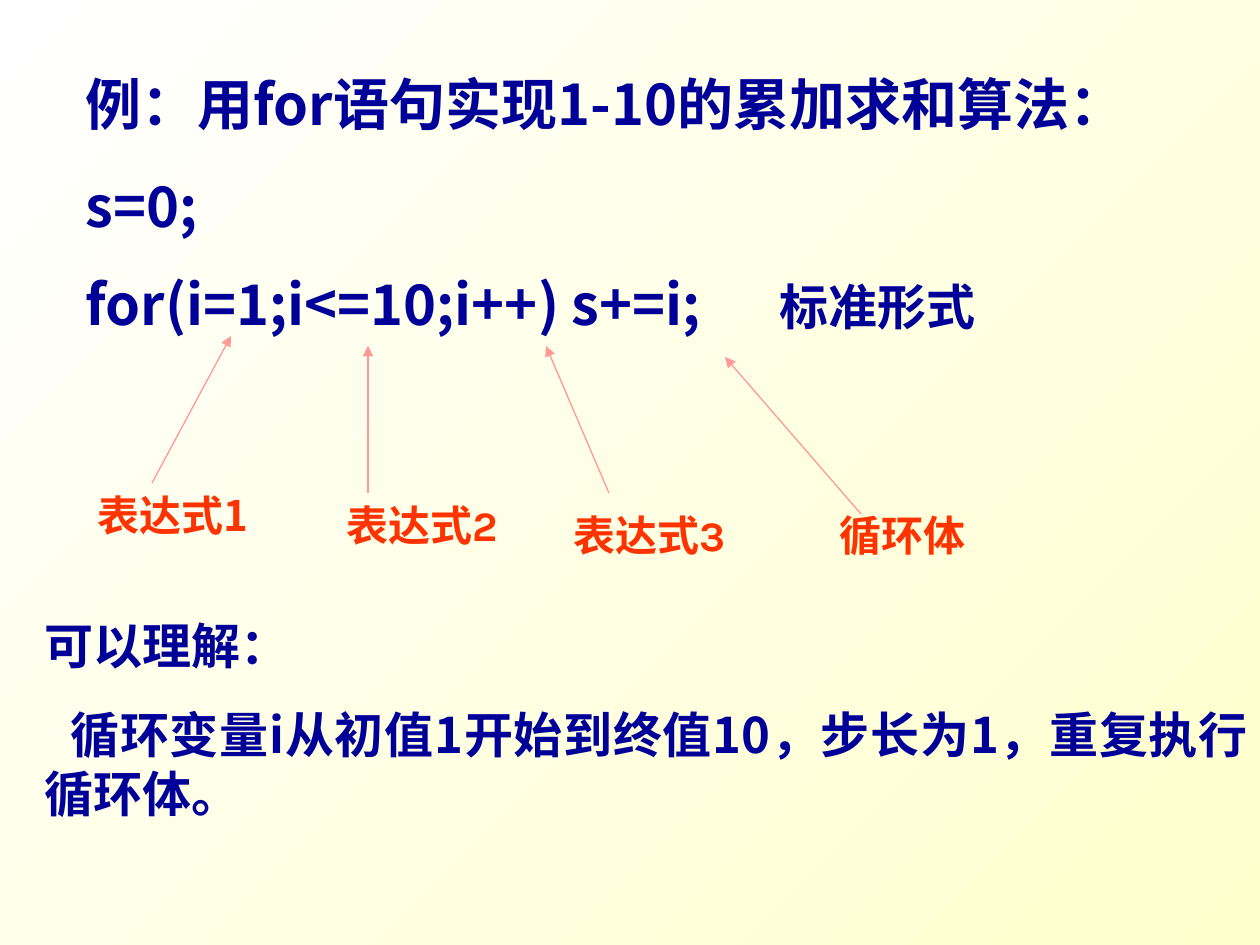
from typing import NamedTuple

from lxml.etree import SubElement
from pptx import Presentation
from pptx.dml.color import RGBColor
from pptx.enum.shapes import MSO_CONNECTOR
from pptx.enum.text import MSO_AUTO_SIZE, PP_ALIGN
from pptx.oxml.ns import qn
from pptx.util import Pt

SCALE = 914400 / 126  # EMU per px
NAVY = RGBColor(0x00, 0x00, 0x99)
ORANGE = RGBColor(0xFF, 0x33, 0x00)
PINK = RGBColor(0xFF, 0x99, 0x99)
WHITE = RGBColor(0xFF, 0xFF, 0xFF)
CREAM = RGBColor(0xFF, 0xFF, 0xCC)
CJK_FONT = "Noto Sans CJK SC"
LATIN_FONT = "Karla"


class Line(NamedTuple):
    text: str
    size: int
    space_before: float
    align: PP_ALIGN = PP_ALIGN.LEFT
    color: RGBColor = NAVY
    font: str = CJK_FONT
    indent: int = 0


class Label(NamedTuple):
    text: str
    left: int
    top: int
    width: int
    arrow_from: tuple[int, int]
    arrow_to: tuple[int, int]
    font: str = LATIN_FONT


CODE = [
    Line("例：用for语句实现1-10的累加求和算法：", 32, 20),
    Line("s=0;", 32, 20),
    Line("for(i=1;i<=10;i++) s+=i;", 32, 17.5),
]
EXPLANATION = [
    Line("可以理解：", 28, 17.5, PP_ALIGN.JUSTIFY),
    Line("循环变量i从初值1开始到终值10，步长为1，重复执行循环体。", 28, 17.5,
         PP_ALIGN.JUSTIFY, indent=26),
]
LABELS = [
    Label("表达式1", 74, 483, 198, (152, 483), (231, 336), CJK_FONT),
    Label("表达式2", 323, 493, 198, (368, 493), (368, 346)),
    Label("表达式3", 551, 503, 198, (609, 493), (546, 346)),
    Label("循环体", 789, 503, 228, (861, 514), (725, 357)),
]
LABEL_HEIGHT = 63
FORM_NAME_TAB = 694


def px(value: int) -> int:
    return round(value * SCALE)


def format_run(run, size: int, color: RGBColor, font: str) -> None:
    run.font.size = Pt(size)
    run.font.bold = True
    run.font.color.rgb = color
    run.font.name = font
    SubElement(run._r.get_or_add_rPr(), qn("a:ea")).set("typeface", CJK_FONT)


def add_text(slide, left: int, top: int, width: int, height: int, lines: list[Line]):
    box = slide.shapes.add_textbox(px(left), px(top), px(width), px(height))
    text_frame = box.text_frame
    text_frame.word_wrap = True
    text_frame.auto_size = MSO_AUTO_SIZE.SHAPE_TO_FIT_TEXT
    text_frame.text = "\n".join(line.text for line in lines)
    for paragraph, line in zip(text_frame.paragraphs, lines):
        paragraph.alignment = line.align
        paragraph.space_before = Pt(line.space_before)
        if line.indent:
            paragraph._p.get_or_add_pPr().set("indent", str(px(line.indent)))
        format_run(paragraph.runs[0], line.size, line.color, line.font)
    return box


def add_form_name(paragraph, text: str) -> None:
    """Append a smaller remark to a line of code, placed by a tab stop."""
    tabs = SubElement(paragraph._p.get_or_add_pPr(), qn("a:tabLst"))
    SubElement(tabs, qn("a:tab"), pos=str(px(FORM_NAME_TAB)), algn="l")
    run = paragraph.add_run()
    run.text = "\t" + text
    format_run(run, 28, NAVY, CJK_FONT)


def add_arrow(slide, start: tuple[int, int], end: tuple[int, int]) -> None:
    arrow = slide.shapes.add_connector(
        MSO_CONNECTOR.STRAIGHT, *(px(value) for value in start + end))
    arrow.line.color.rgb = PINK
    arrow.line.width = Pt(0.75)
    SubElement(arrow.line._get_or_add_ln(), qn("a:tailEnd"), type="triangle")
    SubElement(arrow._element.spPr, qn("a:effectLst"))


def add_label(slide, label: Label) -> None:
    line = Line(label.text, 24, 15, PP_ALIGN.CENTER, ORANGE, label.font)
    add_text(slide, label.left, label.top, label.width, LABEL_HEIGHT, [line])


def paint_background(slide) -> None:
    fill = slide.background.fill
    fill.gradient()
    fill.gradient_angle = 315
    for stop, color, position in zip(fill.gradient_stops, (WHITE, CREAM), (0, 1)):
        stop.color.rgb = color
        stop.position = position


def main() -> None:
    presentation = Presentation()
    presentation.slide_width = px(1260)
    presentation.slide_height = px(945)
    slide = presentation.slides.add_slide(presentation.slide_layouts[6])
    paint_background(slide)
    code = add_text(slide, 73, 63, 1144, 280, CODE)
    add_form_name(code.text_frame.paragraphs[-1], "标准形式")
    for label in LABELS:
        add_arrow(slide, label.arrow_from, label.arrow_to)
    add_text(slide, 32, 609, 1228, 310, EXPLANATION)
    for label in LABELS:
        add_label(slide, label)
    presentation.save("out.pptx")


if __name__ == "__main__":
    main()
